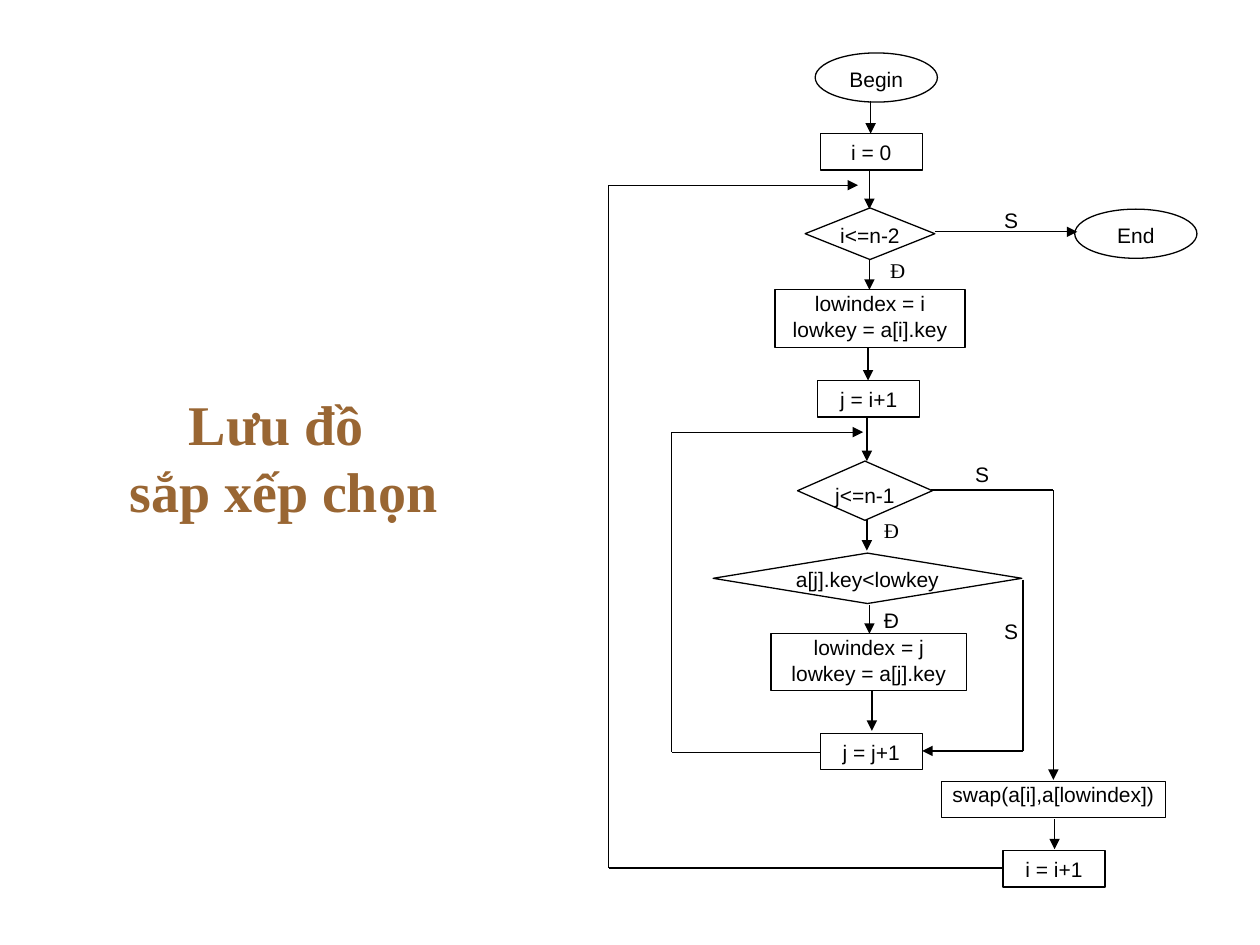
from typing import NamedTuple

from lxml import etree
from pptx import Presentation
from pptx.dml.color import RGBColor
from pptx.enum.shapes import MSO_CONNECTOR, MSO_SHAPE as Shape
from pptx.enum.text import MSO_ANCHOR, PP_ALIGN
from pptx.oxml.ns import qn
from pptx.util import Inches, Pt

BLACK = RGBColor(0, 0, 0)
WHITE = RGBColor(255, 255, 255)
BROWN = RGBColor(0x99, 0x66, 0x33)
SANS, SERIF = "Arial", "Times New Roman"
LINE_WIDTH = Pt(0.75)


class Node(NamedTuple):
    kind: Shape
    text: str
    left: float
    top: float
    width: float
    height: float
    inset_x: float = 0.1
    inset_y: float = 0.05


class Label(NamedTuple):
    text: str
    left: float
    top: float
    font: str = SANS


class Route(NamedTuple):
    """Straight segments through the points, with an optional arrowhead at the end."""
    points: tuple
    arrow: bool = True


TERMINAL = (0.97, 0.39)
STEP = (0.81, 0.29)
LABEL = (0.27, 0.18)

NODES = [
    Node(Shape.OVAL, "Begin", 6.47, 0.42, *TERMINAL),
    Node(Shape.RECTANGLE, "i = 0", 6.51, 1.06, *STEP),
    Node(Shape.FLOWCHART_DECISION, "i<=n-2", 6.39, 1.65, 1.03, 0.41, 0, 0.01),
    Node(Shape.OVAL, "End", 8.53, 1.66, *TERMINAL),
    Node(Shape.RECTANGLE, "lowindex = i\nlowkey = a[i].key", 6.15, 2.3, 1.51, 0.46, 0, 0.01),
    Node(Shape.RECTANGLE, "j = i+1", 6.49, 3.02, *STEP),
    Node(Shape.FLOWCHART_DECISION, "j<=n-1", 6.33, 3.66, 1.07, 0.47, 0, 0.05),
    Node(Shape.FLOWCHART_DECISION, "a[j].key<lowkey", 5.66, 4.39, 2.45, 0.4, 0, 0.01),
    Node(Shape.RECTANGLE, "lowindex = j\nlowkey = a[j].key", 6.12, 5.03, 1.55, 0.45, 0, 0.01),
    Node(Shape.RECTANGLE, "j = j+1", 6.51, 5.82, *STEP),
    Node(Shape.RECTANGLE, "swap(a[i],a[lowindex])", 7.47, 6.2, 1.78, 0.29, 0, 0),
    Node(Shape.RECTANGLE, "i = i+1", 7.96, 6.75, *STEP),
]

LABELS = [
    Label("S", 7.89, 1.65),
    Label("Đ", 6.99, 2.04, SERIF),
    Label("S", 7.66, 3.66),
    Label("Đ", 6.94, 4.11, SERIF),
    Label("Đ", 6.94, 4.82),
    Label("S", 7.89, 4.91),
]

ROUTES = [
    # Steps down the main column
    Route(((6.91, 0.8), (6.91, 1.06))),
    Route(((6.9, 1.35), (6.9, 1.66))),
    Route(((6.9, 2.06), (6.9, 2.3))),
    Route(((6.89, 2.76), (6.89, 3.02))),
    Route(((6.88, 3.31), (6.88, 3.66))),
    Route(((6.88, 4.13), (6.88, 4.37))),
    Route(((6.9, 4.8), (6.9, 5.03))),
    Route(((6.92, 5.48), (6.92, 5.8))),
    Route(((8.37, 6.5), (8.37, 6.74))),
    # Branches taken when a condition is false
    Route(((7.42, 1.84), (8.55, 1.84))),
    Route(((7.39, 3.89), (8.36, 3.89), (8.36, 6.19))),
    Route(((8.12, 4.6), (8.12, 5.96), (7.32, 5.96))),
    # Returns to the outer and inner loop
    Route(((7.95, 6.89), (4.83, 6.89), (4.83, 1.47), (6.81, 1.47))),
    Route(((6.51, 5.97), (5.33, 5.97), (5.33, 3.43), (6.85, 3.43))),
]


def write_text(shape, text: str, font: str, size: float, color: RGBColor,
               bold: bool = False) -> None:
    text_frame = shape.text_frame
    text_frame.word_wrap = True
    text_frame.text = text
    for paragraph in text_frame.paragraphs:
        paragraph.alignment = PP_ALIGN.CENTER
        for run in paragraph.runs:
            run.font.name = font
            run.font.size = Pt(size)
            run.font.bold = bold
            run.font.color.rgb = color


def add_box(slide, node: Node, font: str = SANS, outlined: bool = True) -> None:
    shape = slide.shapes.add_shape(node.kind, Inches(node.left), Inches(node.top),
                                   Inches(node.width), Inches(node.height))
    shape.shadow.inherit = False
    shape.fill.solid()
    shape.fill.fore_color.rgb = WHITE
    if outlined:
        shape.line.color.rgb = BLACK
        shape.line.width = LINE_WIDTH
    else:
        shape.line.fill.background()
    text_frame = shape.text_frame
    text_frame.vertical_anchor = MSO_ANCHOR.TOP
    text_frame.margin_left = text_frame.margin_right = Inches(node.inset_x)
    text_frame.margin_top = text_frame.margin_bottom = Inches(node.inset_y)
    write_text(shape, node.text, font, 12, BLACK)


def add_label(slide, label: Label) -> None:
    box = Node(Shape.RECTANGLE, label.text, label.left, label.top, *LABEL, 0, 0)
    add_box(slide, box, label.font, outlined=False)


def add_route(slide, route: Route) -> None:
    for start, end in zip(route.points, route.points[1:]):
        connector = slide.shapes.add_connector(
            MSO_CONNECTOR.STRAIGHT, *(Inches(value) for value in start + end))
        connector.line.color.rgb = BLACK
        connector.line.width = LINE_WIDTH
        if route.arrow and end == route.points[-1]:
            line = connector.line._get_or_add_ln()
            etree.SubElement(line, qn("a:tailEnd"), type="triangle")
        etree.SubElement(connector._element.spPr, qn("a:effectLst"))


def add_title(slide) -> None:
    title = slide.shapes.add_textbox(Inches(0.25), Inches(3), Inches(4), Inches(1.25))
    title.text_frame.vertical_anchor = MSO_ANCHOR.MIDDLE
    write_text(title, "Lưu đồ \vsắp xếp chọn", SERIF, 32, BROWN, bold=True)


def main() -> None:
    presentation = Presentation()
    presentation.slide_width = Inches(10)
    presentation.slide_height = Inches(7.5)
    slide = presentation.slides.add_slide(presentation.slide_layouts[6])

    add_title(slide)
    for node in NODES:
        add_box(slide, node)
    for label in LABELS:
        add_label(slide, label)
    for route in ROUTES:
        add_route(slide, route)

    presentation.save("out.pptx")


if __name__ == "__main__":
    main()
